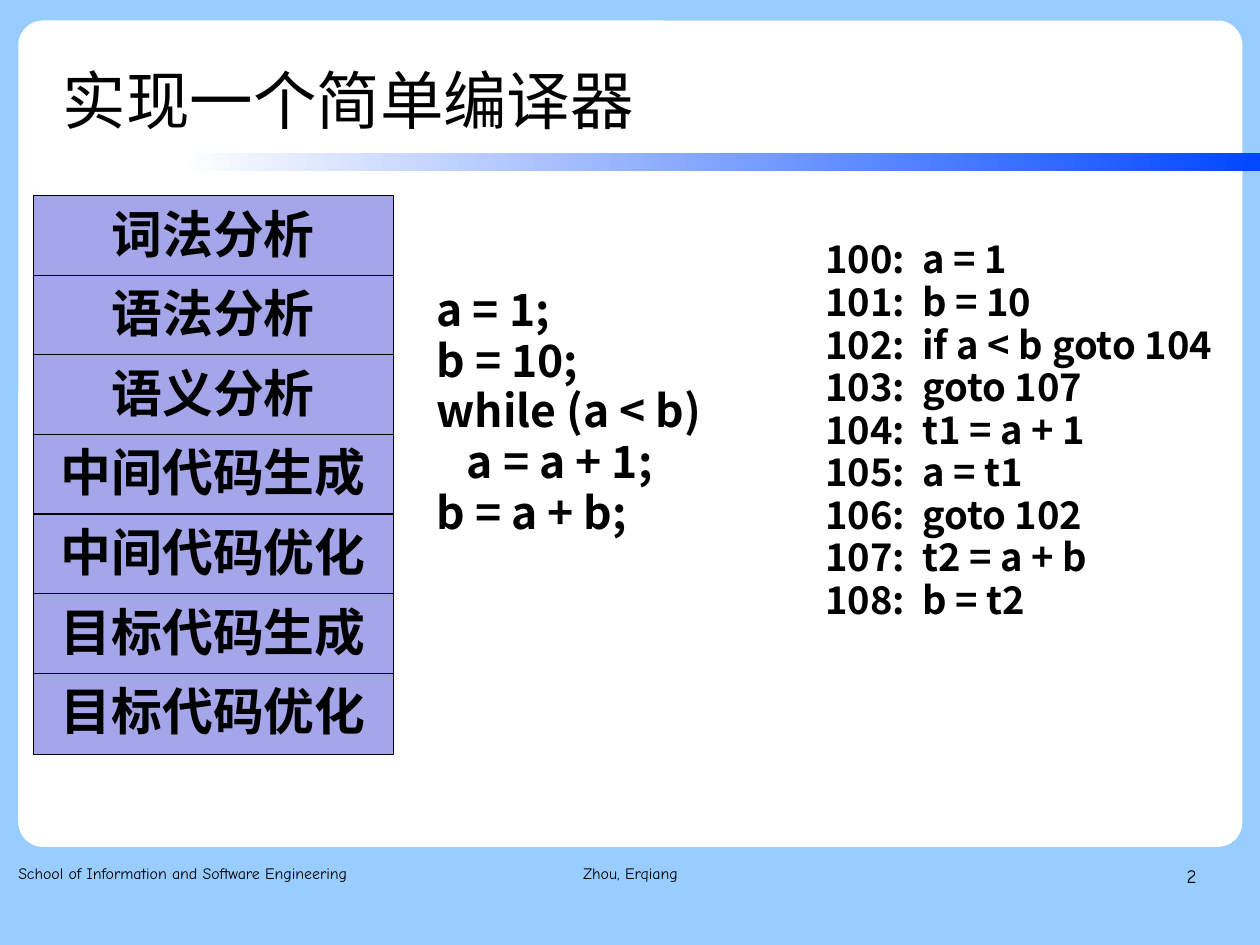
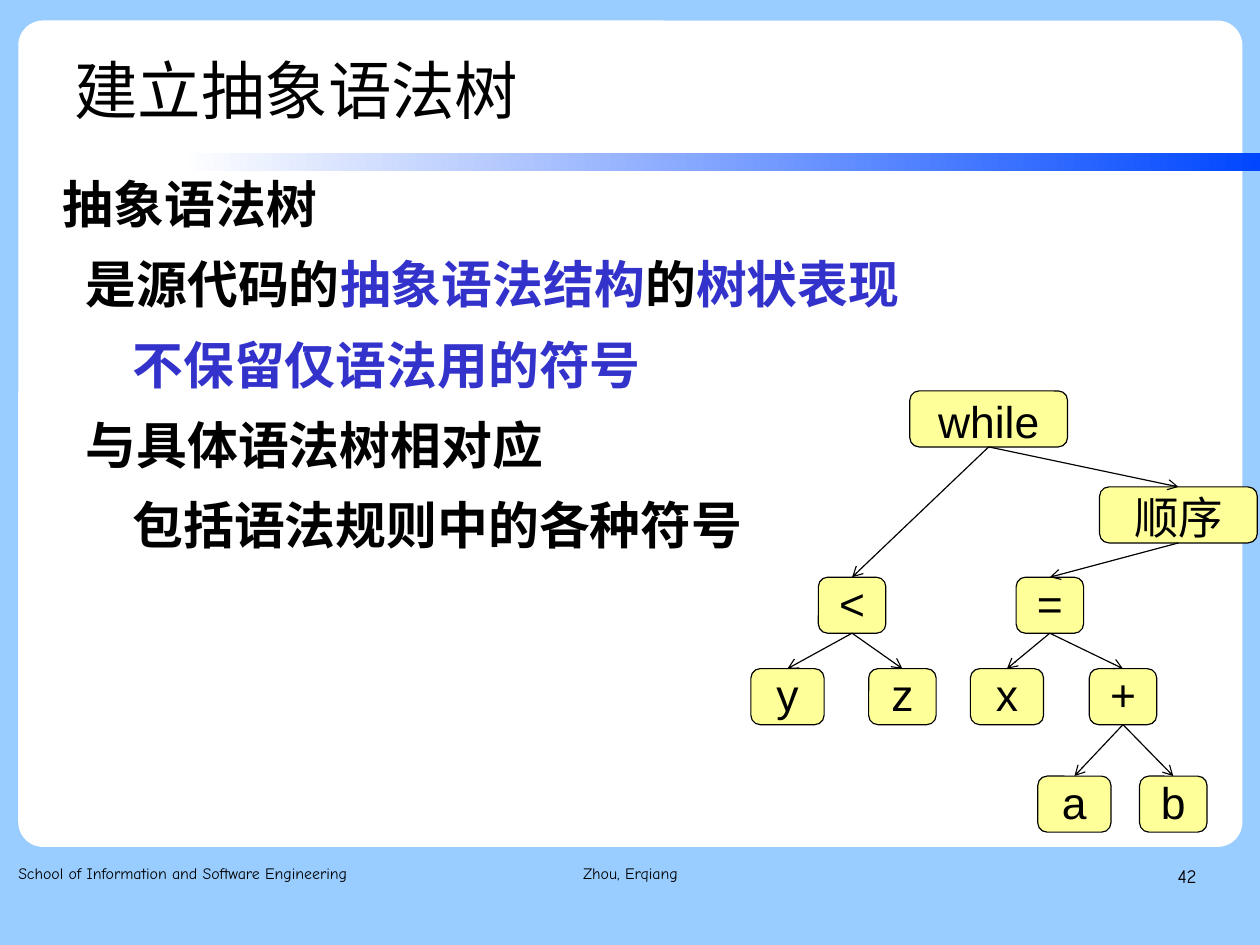
from lxml.etree import SubElement
from pptx import Presentation
from pptx.dml.color import RGBColor
from pptx.enum.shapes import MSO_CONNECTOR, MSO_SHAPE
from pptx.enum.text import MSO_ANCHOR as Anchor, MSO_AUTO_SIZE, PP_ALIGN as Align
from pptx.oxml.ns import qn
from pptx.util import Cm, Inches, Pt

SKY = RGBColor(0x99, 0xCC, 0xFF)
WHITE = RGBColor(0xFF, 0xFF, 0xFF)
BLACK = RGBColor(0, 0, 0)
BAND_BLUE = RGBColor(0x00, 0x47, 0xFF)
STEP_VIOLET = RGBColor(0xA5, 0xA5, 0xE9)
NODE_YELLOW = RGBColor(0xFF, 0xFF, 0x99)
ACCENT = RGBColor(0x33, 0x33, 0xCC)

LATIN, CJK, FOOTER = "Arial", "Noto Sans CJK SC", "Comic Neue"
TITLE_BOX = (0.55, 0.33, 8.58, 1.01)
TITLE_ONLY = 5
NO_INSETS = (0, 0, 0, 0)
INSETS = (0.1, 0.05, 0.1, 0.05)
BOTTOM, TOP = 2, 0

STEPS = ["词法分析", "语法分析", "语义分析", "中间代码生成",
         "中间代码优化", "目标代码生成", "目标代码优化"]

SOURCE_CODE = """a = 1;
b = 10;
while (a < b)
   a = a + 1;
b = a + b;"""

THREE_ADDRESS_CODE = ["a = 1", "b = 10", "if a < b goto 104", "goto 107", "t1 = a + 1",
                      "a = t1", "goto 102", "t2 = a + b", "b = t2"]

# Each outline line: indent, then runs of (text, colour)
OUTLINE = [
    (0, [("抽象语法树", BLACK)]),
    (0.2, [("是源代码的", BLACK), ("抽象语法结构", ACCENT), ("的", BLACK), ("树状表现", ACCENT)]),
    (0.61, [("不保留仅语法用的符号", ACCENT)]),
    (0.2, [("与具体语法树相对应", BLACK)]),
    (0.61, [("包括语法规则中的各种符号", BLACK)]),
]

# Tree nodes: left, top and width inside the tree's box
NODE_HEIGHT = 0.49
WIDE = 1.38
NODES = {
    "while": (1.39, 0, WIDE), "顺序": (3.05, 0.84, WIDE),
    "<": (0.59, 1.63, 0.59), "=": (2.32, 1.63, 0.59),
    "y": (0, 2.43, 0.64), "z": (1.03, 2.43, 0.59),
    "x": (1.92, 2.43, 0.64), "+": (2.96, 2.43, 0.59),
    "a": (2.51, 3.37, 0.64), "b": (3.4, 3.37, 0.59),
}
CHILDREN = {"while": ["<", "顺序"], "顺序": ["="], "<": "yz", "=": "x+", "+": "ab"}


def inches(*lengths):
    return [Inches(length) for length in lengths]


def set_frame(frame, insets, anchor=Anchor.TOP):
    frame.word_wrap = True
    frame.auto_size = MSO_AUTO_SIZE.NONE
    frame.vertical_anchor = anchor
    (frame.margin_left, frame.margin_top,
     frame.margin_right, frame.margin_bottom) = inches(*insets)


def format_run(run, size, font, bold=False, color=BLACK):
    run.font.size = Pt(size)
    run.font.bold = bold
    run.font.color.rgb = color
    run.font.name = font
    east_asian = SubElement(run.font._element, qn("a:ea"))
    east_asian.set("typeface", CJK)


def format_text(frame, size, font, spacing, bold=False, align=Align.LEFT):
    for paragraph in frame.paragraphs:
        paragraph.alignment = align
        paragraph.line_spacing = spacing
        for run in paragraph.runs:
            format_run(run, size, font, bold)


def add_text(slide, box, text, size, font, spacing, bold=False, align=Align.LEFT, insets=INSETS):
    frame = slide.shapes.add_textbox(*inches(*box)).text_frame
    set_frame(frame, insets)
    frame.text = text
    format_text(frame, size, font, spacing, bold, align)
    return frame


def add_labelled_shape(slide, preset, box, fill, text, size, font, bold, anchor):
    shape = slide.shapes.add_shape(preset, *inches(*box))
    shape.shadow.inherit = False
    shape.fill.solid()
    shape.fill.fore_color.rgb = fill
    shape.line.color.rgb = BLACK
    shape.line.width = Pt(0.75)
    set_frame(shape.text_frame, INSETS, anchor)
    shape.text_frame.text = text
    format_text(shape.text_frame, size, font, 0.93, bold, Align.CENTER)
    return shape


def decorate_master(presentation, slide):
    """Draw the panel and title band, then move them to the master behind everything."""
    master = presentation.slide_master
    master.background.fill.solid()
    master.background.fill.fore_color.rgb = SKY

    panel = slide.shapes.add_shape(MSO_SHAPE.ROUNDED_RECTANGLE, *inches(0.16, 0.18, 10.71, 7.23))
    panel.adjustments[0] = 0.03
    panel.fill.solid()
    panel.fill.fore_color.rgb = WHITE

    band = slide.shapes.add_shape(MSO_SHAPE.RECTANGLE, *inches(1.57, 1.34, 9.45, 0.16))
    band.fill.gradient()
    band.fill.gradient_angle = 0
    for stop, position, color in zip(band.fill.gradient_stops, (0, 1), (WHITE, BAND_BLUE)):
        stop.position = position
        stop.color.rgb = color

    for index, shape in enumerate((panel, band)):
        shape.shadow.inherit = False
        shape.line.fill.background()
        shape._element.nvSpPr.cNvPr.set("id", str(100 + index))
        master.shapes._spTree.insert(2 + index, shape._element)


def add_footer(slide, number):
    for box, text, size, align in [
        ((0.16, 7.53, 3.38, 0.57), "School of Information and Software Engineering", 10, Align.LEFT),
        ((3.77, 7.53, 3.49, 0.57), "Zhou, Erqiang", 10, Align.CENTER),
        ((7.9, 7.53, 2.57, 0.57), str(number), 12, Align.RIGHT),
    ]:
        add_text(slide, box, text, size, FOOTER, 1.16, align=align, insets=NO_INSETS)


def add_slide(presentation, title_text, number, font, insets, anchor):
    slide = presentation.slides.add_slide(presentation.slide_layouts[TITLE_ONLY])
    title = slide.shapes.title
    title.left, title.top, title.width, title.height = inches(*TITLE_BOX)
    set_frame(title.text_frame, insets, anchor)
    title.text_frame.text = title_text
    format_text(title.text_frame, 40, font, 1.1)
    add_footer(slide, number)
    return slide


def add_steps(slide, box):
    left, top, width, height = box
    step_height = 0.71
    pitch = (height - step_height) / (len(STEPS) - 1)
    for index, step in enumerate(STEPS):
        add_labelled_shape(slide, MSO_SHAPE.RECTANGLE,
                           (left, top + index * pitch, width, step_height),
                           STEP_VIOLET, step, 32, CJK, True, Anchor.MIDDLE)


def add_three_address_code(slide, box):
    text = "\n".join(f"{100 + index}:\t{code}" for index, code in enumerate(THREE_ADDRESS_CODE))
    frame = add_text(slide, box, text, 24, CJK, 0.93, bold=True)
    for paragraph in frame.paragraphs:
        tabs = SubElement(paragraph._p.get_or_add_pPr(), qn("a:tabLst"))
        SubElement(tabs, qn("a:tab"), pos=str(Inches(0.85)), algn="l")


def add_outline(slide, box):
    frame = slide.shapes.add_textbox(*inches(*box)).text_frame
    set_frame(frame, (0, 0.02, 0, 0))
    for index, (indent, runs) in enumerate(OUTLINE):
        paragraph = frame.add_paragraph() if index else frame.paragraphs[0]
        paragraph.line_spacing = 0.95
        paragraph.space_after = Pt(14.1)
        paragraph._p.get_or_add_pPr().set("marL", str(Inches(indent)))
        for text, color in runs:
            run = paragraph.add_run()
            run.text = text
            format_run(run, 32, CJK, True, color)


def add_arrow(slide, parent, child):
    arrow = slide.shapes.add_connector(MSO_CONNECTOR.STRAIGHT, 0, 0, 0, 0)
    arrow.begin_connect(parent, BOTTOM)
    arrow.end_connect(child, TOP)
    arrow.line.color.rgb = BLACK
    arrow.line.width = Pt(0.75)
    SubElement(arrow.line._get_or_add_ln(), qn("a:tailEnd"), type="arrow")
    SubElement(arrow._element.spPr, qn("a:effectLst"))


def add_syntax_tree(slide, left, top):
    nodes = {}
    for label, (x, y, width) in NODES.items():
        anchor = Anchor.TOP if width == WIDE else Anchor.MIDDLE
        nodes[label] = add_labelled_shape(slide, MSO_SHAPE.ROUNDED_RECTANGLE,
                                          (left + x, top + y, width, NODE_HEIGHT),
                                          NODE_YELLOW, label, 28, LATIN, False, anchor)
    for parent, children in CHILDREN.items():
        for child in children:
            add_arrow(slide, nodes[parent], nodes[child])


def main():
    presentation = Presentation()
    presentation.slide_width, presentation.slide_height = Cm(28), Cm(21)

    compiler = add_slide(presentation, "实现一个简单编译器", 2, LATIN, NO_INSETS, Anchor.MIDDLE)
    decorate_master(presentation, compiler)
    add_steps(compiler, (0.29, 1.71, 3.15, 4.89))
    add_text(compiler, (3.72, 2.43, 3.52, 2.79), SOURCE_CODE, 28, CJK, 0.95, bold=True,
             insets=(0.1, 0.07, 0.1, 0.05))
    add_three_address_code(compiler, (7.12, 2.05, 3.65, 3.45))

    syntax_tree = add_slide(presentation, "建立抽象语法树", 42, CJK, INSETS, Anchor.TOP)
    add_outline(syntax_tree, (0.55, 1.53, 9.92, 5.86))
    add_syntax_tree(syntax_tree, 6.57, 3.42)

    presentation.save("out.pptx")


if __name__ == "__main__":
    main()
